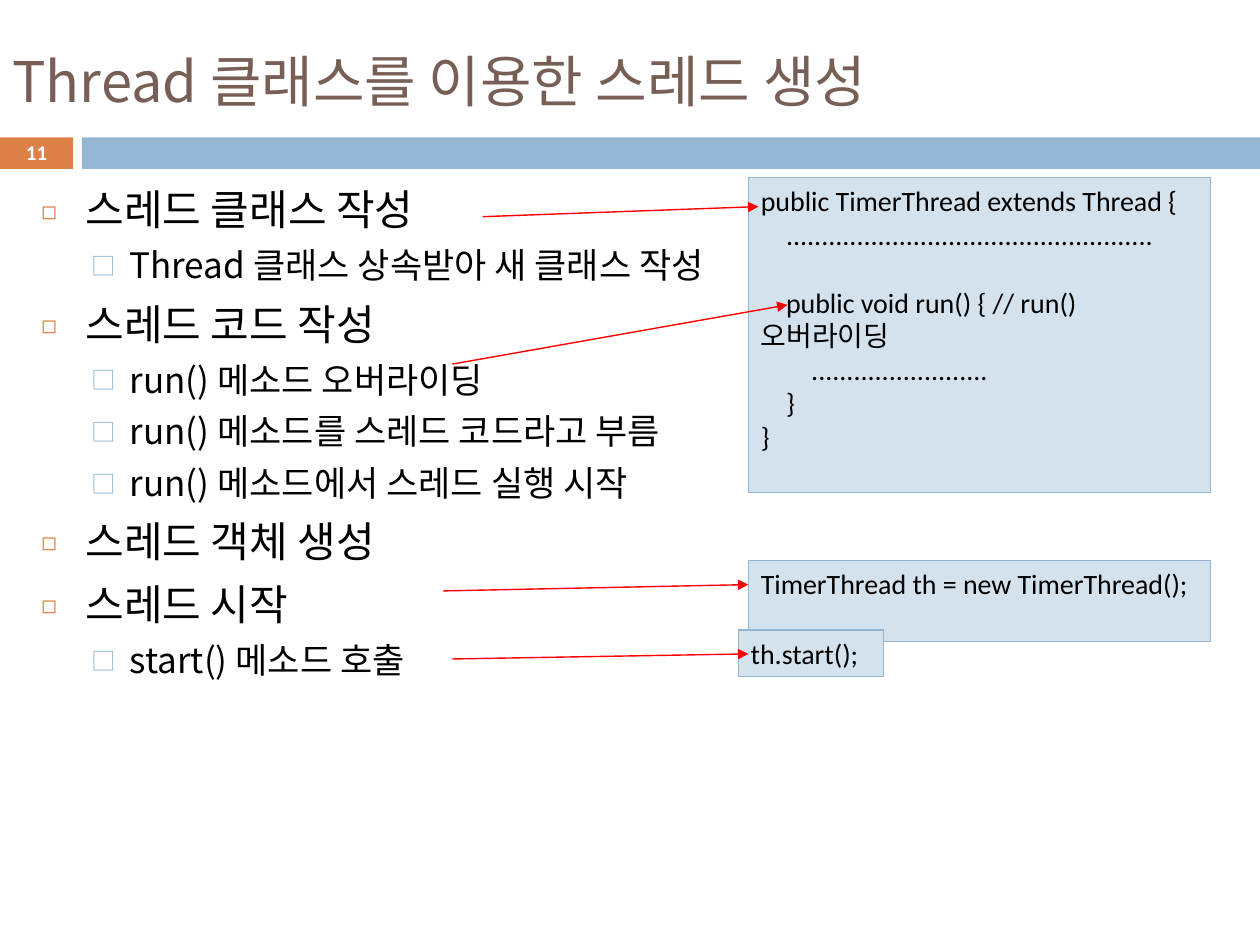
from lxml import etree
from pptx import Presentation
from pptx.dml.color import RGBColor
from pptx.enum import shapes, text
from pptx.oxml import ns
from pptx.util import Inches, Pt

COLORS = {
    "title": "775F55",
    "orange": "DD8047",
    "blue": "94B6D2",
    "pale": "D4E2ED",
    "arrow": "FF0000",
    "black": "000000",
    "white": "FFFFFF",
}
KOREAN = "Noto Sans CJK KR"
LATIN = "Calibri"
LEVELS = [
    {"size": 24, "before": 7, "margin": 0.35, "indent": -0.35,
     "bullet": "◻", "color": "orange", "percent": 60},
    {"size": 20, "before": 5.5, "margin": 0.7, "indent": -0.3,
     "bullet": "□", "color": "blue", "percent": 70},
]
STEPS = [
    (0, "스레드 클래스 작성"),
    (1, "Thread 클래스 상속받아 새 클래스 작성"),
    (0, "스레드 코드 작성"),
    (1, "run() 메소드 오버라이딩"),
    (1, "run() 메소드를 스레드 코드라고 부름"),
    (1, "run() 메소드에서 스레드 실행 시작"),
    (0, "스레드 객체 생성"),
    (0, "스레드 시작"),
    (1, "start() 메소드 호출"),
]
CLASS_CODE = [
    "public TimerThread extends Thread {",
    "\t" + "." * 52,
    "\tpublic void run() { // run() 오버라이딩",
    "\t\t" + "." * 25,
    "\t}",
    "}",
]
RUN_LINE = 2
ARROWS = [
    ((3.83, 1.72), (6.02, 1.64)),
    ((3.59, 2.89), (6.25, 2.42)),
    ((3.52, 4.69), (5.94, 4.64)),
    ((3.59, 5.23), (5.94, 5.19)),
]


def rgb(name):
    return RGBColor.from_string(COLORS[name])


def add_element(parent, tag, **attributes):
    return etree.SubElement(parent, ns.qn(tag), attributes)


def style(paragraph, size, color, latin=LATIN, bold=False):
    font = paragraph.font
    font.size, font.name, font.bold = Pt(size), latin, bold
    font.color.rgb = rgb(color)
    defaults = paragraph._p.pPr.find(ns.qn("a:defRPr"))
    add_element(defaults, "a:ea", typeface=KOREAN)


def add_bar(slide, box, fill, line=None):
    bar = slide.shapes.add_shape(shapes.MSO_SHAPE.RECTANGLE, *map(Inches, box))
    bar.shadow.inherit = False
    bar.fill.solid()
    bar.fill.fore_color.rgb = rgb(fill)
    if line:
        bar.line.color.rgb = rgb(line)
        bar.line.width = Pt(0.75)
    else:
        bar.line.fill.background()
    return bar


def add_text_frame(slide, box, anchor):
    frame = slide.shapes.add_textbox(*map(Inches, box)).text_frame
    frame.word_wrap = True
    frame.vertical_anchor = anchor
    return frame


def add_header(slide, left, top, width, number):
    title = add_text_frame(slide, (left, top, width, 0.77), text.MSO_ANCHOR.MIDDLE).paragraphs[0]
    title.text = "Thread 클래스를 이용한 스레드 생성"
    style(title, 32, "title", KOREAN)

    bar_top = top + 0.84
    add_bar(slide, (left, bar_top, 0.58, 0.25), "orange")
    add_bar(slide, (left + 0.65, bar_top, width - 0.65, 0.25), "blue")
    page = add_text_frame(slide, (left, bar_top, 0.58, 0.27), text.MSO_ANCHOR.MIDDLE).paragraphs[0]
    page.text = number
    page.alignment = text.PP_ALIGN.CENTER
    page.line_spacing = 0.8
    style(page, 12, "white", bold=True)


def add_steps(slide, box):
    frame = add_text_frame(slide, box, text.MSO_ANCHOR.TOP)
    for index, (depth, wording) in enumerate(STEPS):
        level = LEVELS[depth]
        step = frame.add_paragraph() if index else frame.paragraphs[0]
        step.text = wording
        step.level = depth
        if index:
            step.space_before = Pt(level["before"])
        properties = step._p.get_or_add_pPr()
        properties.set("marL", str(Inches(level["margin"])))
        properties.set("indent", str(Inches(level["indent"])))
        bullet_color = add_element(properties, "a:buClr")
        add_element(bullet_color, "a:srgbClr", val=COLORS[level["color"]])
        add_element(properties, "a:buSzPct", val=str(level["percent"] * 1000))
        add_element(properties, "a:buFont", typeface=KOREAN)
        add_element(properties, "a:buChar", char=level["bullet"])
        style(step, level["size"], "black", KOREAN)


def add_code(slide, box, lines, gap_before=None):
    frame = add_bar(slide, box, "pale", "blue").text_frame
    frame.word_wrap = True
    frame.vertical_anchor = text.MSO_ANCHOR.TOP
    for index, wording in enumerate(lines):
        line = frame.add_paragraph() if index else frame.paragraphs[0]
        line.text = wording
        line.alignment = text.PP_ALIGN.LEFT
        if index == gap_before:
            line.space_before = Pt(19.5)
        tabs = add_element(line._p.get_or_add_pPr(), "a:tabLst")
        for stop in (0.2, 0.4):
            add_element(tabs, "a:tab", pos=str(Inches(stop)), algn="l")
        style(line, 16, "black")


def add_arrow(slide, start, end):
    arrow = slide.shapes.add_connector(
        shapes.MSO_CONNECTOR.STRAIGHT, *map(Inches, start + end))
    arrow.line.color.rgb = rgb("arrow")
    arrow.line.width = Pt(0.79)
    add_element(arrow.line._get_or_add_ln(), "a:tailEnd", type="triangle")
    add_element(arrow._element.spPr, "a:effectLst")


def main():
    deck = Presentation()
    deck.slide_width, deck.slide_height = Inches(10), Inches(7.5)
    slide = deck.slides.add_slide(deck.slide_layouts[6])
    add_header(slide, 0, 0.25, 10, "11")
    add_steps(slide, (0.23, 1.41, 5.5, 5.78))
    add_code(slide, (5.94, 1.41, 3.67, 2.5), CLASS_CODE, RUN_LINE)
    add_code(slide, (5.94, 4.45, 3.67, 0.64), ["TimerThread th = new TimerThread();"])
    add_code(slide, (5.86, 5, 1.15, 0.37), ["th.start();"])
    for start, end in ARROWS:
        add_arrow(slide, start, end)
    deck.save("out.pptx")


if __name__ == "__main__":
    main()
